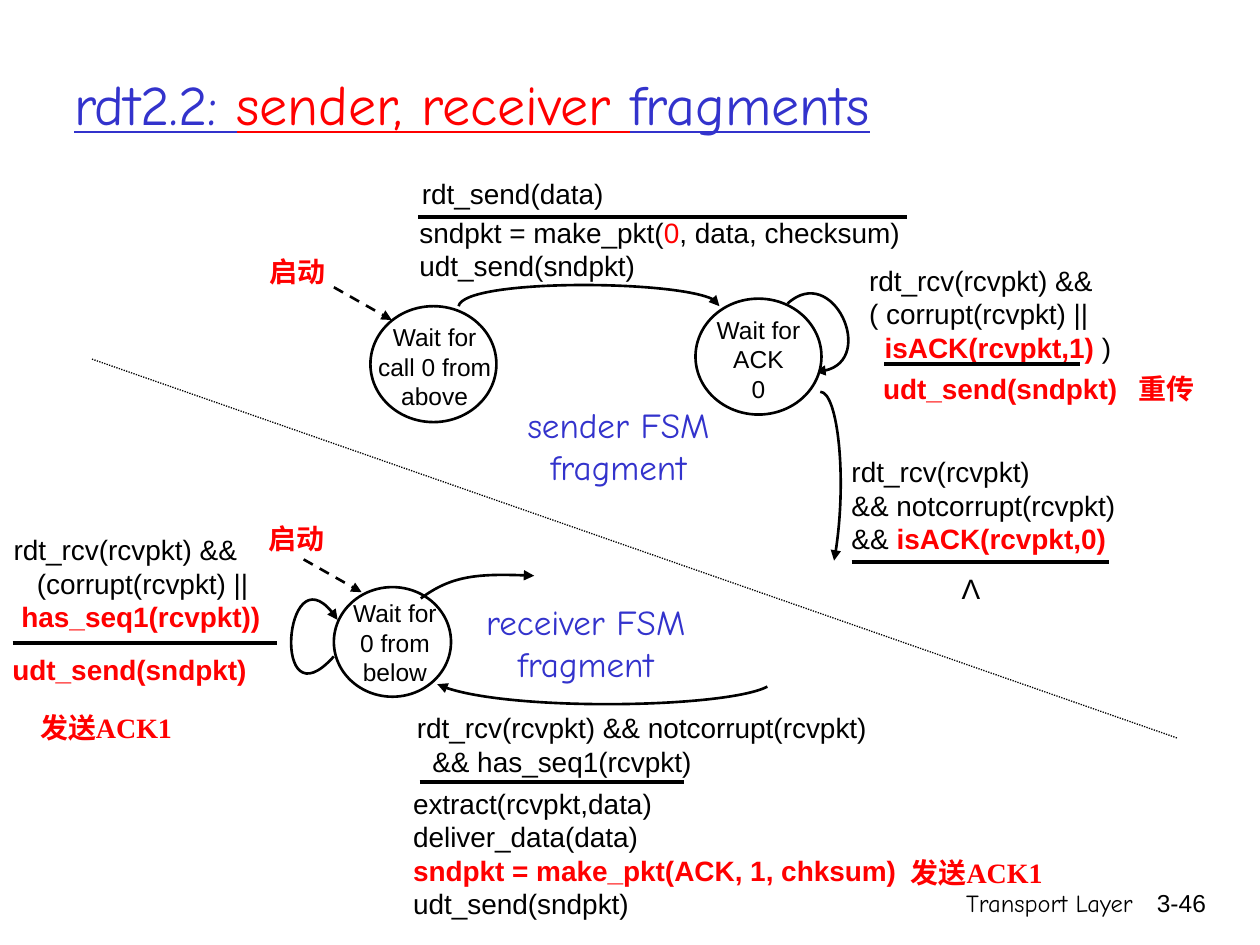
from lxml.etree import SubElement
from pptx import Presentation
from pptx.dml.color import RGBColor
from pptx.enum.dml import MSO_LINE
from pptx.enum.shapes import MSO_CONNECTOR, MSO_SHAPE
from pptx.enum.text import MSO_ANCHOR, PP_ALIGN
from pptx.oxml.ns import qn
from pptx.util import Inches, Pt

COLORS = {"ink": "000000", "red": "FF0000", "blue": "3333CC", "paper": "FFFFFF"}
CODE, HAND, NOTE = "Arial", "Comic Neue", "Times New Roman"


def rgb(name):
    return RGBColor.from_string(COLORS[name])


def write(frame, lines, size=16, font=CODE, color="ink", bold=False, align=PP_ALIGN.LEFT):
    """Each line is a string or a list of (text, color, bold) runs."""
    for index, line in enumerate(lines):
        paragraph = frame.paragraphs[0] if index == 0 else frame.add_paragraph()
        paragraph.alignment = align
        paragraph.font.size, paragraph.font.name = Pt(size), font
        if isinstance(line, str):
            paragraph.font.bold, paragraph.font.color.rgb = bold, rgb(color)
            paragraph.add_run().text = line
            continue
        for text, run_color, run_bold in line:
            run = paragraph.add_run()
            run.text = text
            run.font.bold, run.font.color.rgb = run_bold, rgb(run_color)


class Region:
    """Places parts relative to its own top left corner, in inches."""

    def __init__(self, slide, left, top):
        self.shapes, self.left, self.top = slide.shapes, left, top

    def at(self, x, y):
        return Inches(self.left + x), Inches(self.top + y)

    def text(self, x, y, width, height, lines, **style):
        frame = self.shapes.add_textbox(*self.at(x, y), Inches(width), Inches(height)).text_frame
        frame.word_wrap = True
        write(frame, lines, **style)

    def note(self, x, y, width, words):
        self.text(x, y, width, 0.44, [words], font=NOTE, color="red", bold=True)

    def fragment_label(self, x, y, role):
        self.text(x, y, 1.9, 0.77, [f"{role} FSM", "fragment"],
                  size=20, font=HAND, color="blue", align=PP_ALIGN.CENTER)

    def line(self, start, end, weight=2.25, dash=None, arrow=False):
        connector = self.shapes.add_connector(MSO_CONNECTOR.STRAIGHT, *self.at(*start), *self.at(*end))
        SubElement(connector._element.spPr, qn("a:effectLst"))
        connector.line.width, connector.line.color.rgb = Pt(weight), rgb("ink")
        if dash:
            connector.line.dash_style = dash
        if arrow:
            add_arrowhead(connector)

    def rule(self, x, y, width):
        self.line((x, y), (x + width, y))

    def start_arrow(self, x, y):
        self.line((x, y), (x + 0.46, y + 0.26), 1.5, MSO_LINE.DASH, arrow=True)

    def state(self, x, y, width, height, label_box, lines):
        circle = self.shapes.add_shape(MSO_SHAPE.OVAL, *self.at(x, y), Inches(width), Inches(height))
        circle.shadow.inherit = False
        circle.fill.solid()
        circle.fill.fore_color.rgb = rgb("paper")
        circle.line.width, circle.line.color.rgb = Pt(1.5), rgb("ink")
        self.text(*label_box, lines, size=14, align=PP_ALIGN.CENTER)

    def transition(self, start, *curve):
        """Bezier arrow: start, two control points, end."""
        builder = self.shapes.build_freeform(*self.at(*start))
        builder.add_line_segments([self.at(*point) for point in curve], close=False)
        arc = builder.convert_to_shape()
        segments = list(arc._element.iter(qn("a:lnTo")))
        outline = segments[0].getparent()
        bezier = SubElement(outline, qn("a:cubicBezTo"))
        for segment in segments:
            bezier.append(segment[0])
            outline.remove(segment)
        arc.shadow.inherit = False
        arc.fill.background()
        arc.line.width, arc.line.color.rgb = Pt(1.5), rgb("ink")
        add_arrowhead(arc)


def add_arrowhead(shape):
    SubElement(shape.line._get_or_add_ln(), qn("a:tailEnd"), type="triangle")


def add_title(slide):
    title = slide.shapes.title
    title.left, title.top, title.width, title.height = map(Inches, (0.49, 0.19, 8.5, 1.25))
    title.text_frame.vertical_anchor = MSO_ANCHOR.MIDDLE
    write(title.text_frame, [[("rdt2.2: ", "blue", False), ("sender, receiver ", "red", False),
                              ("fragments", "blue", False)]], size=32, font=HAND)
    title.text_frame.paragraphs[0].font.underline = True


def add_sender(slide, left, top):
    sender = Region(slide, left, top)
    # Call from above: send packet 0
    sender.state(0.94, 1.13, 1, 0.92, (0.87, 1.21, 1.16, 0.67), ["Wait for call 0 from above"])
    sender.text(1.23, 0.36, 4.07, 0.44, [
        [("sndpkt = make_pkt(", "ink", False), ("0", "red", False), (", data, checksum)", "ink", False)],
        "udt_send(sndpkt)"])
    sender.text(1.25, 0.05, 1.89, 0.31, ["rdt_send(data)"])
    sender.rule(1.32, 0.42, 3.88)
    sender.note(0.04, 0.67, 0.74, "启动")
    sender.start_arrow(0.65, 0.98)
    sender.transition((1.64, 1.13), (1.68, 0.91), (3.71, 0.92), (3.71, 1.13))
    # Corrupt packet or wrong ACK: send again
    sender.transition((4.25, 1.11), (4.61, 0.78), (5, 1.64), (4.47, 1.65))
    sender.text(4.8, 0.74, 2.97, 0.63, [
        "rdt_rcv(rcvpkt) &&", "( corrupt(rcvpkt) ||",
        [("  ", "ink", False), ("isACK(rcvpkt,1)", "red", True), (" )", "ink", False)]])
    sender.rule(5.02, 1.59, 1.55)
    sender.text(4.91, 1.6, 2.32, 0.44, ["udt_send(sndpkt)"], color="red", bold=True)
    sender.note(6.94, 1.6, 0.74, "重传")
    # Right ACK: move on
    sender.transition((4.51, 1.81), (4.65, 1.81), (4.73, 2.55), (4.62, 3.15))
    sender.text(4.66, 2.26, 2.64, 0.63, [
        "rdt_rcv(rcvpkt)", "&& notcorrupt(rcvpkt)",
        [("&& ", "ink", False), ("isACK(rcvpkt,0)", "red", True)]])
    sender.rule(4.76, 3.16, 2.04)
    sender.text(5.5, 3.19, 0.41, 0.37, ["Λ"], align=PP_ALIGN.CENTER)
    sender.state(3.52, 1.07, 1, 0.92, (3.44, 1.15, 1.16, 0.67), ["Wait for ACK", "0"])
    sender.fragment_label(1.96, 1.85, "sender")


def add_receiver(slide, left, top):
    receiver = Region(slide, left, top)
    receiver.state(2.65, 0.66, 0.93, 0.87, (2.7, 0.7, 0.87, 0.67), ["Wait for", "0 from below"])
    receiver.note(2.03, 0.09, 0.74, "启动")
    receiver.start_arrow(2.41, 0.44)
    receiver.transition((3.34, 0.75), (3.58, 0.57), (3.82, 0.55), (4.24, 0.57))
    receiver.fragment_label(3.7, 0.72, "receiver")
    # Corrupt or repeated packet: acknowledge 1 again
    receiver.transition((2.65, 1.21), (2.15, 1.77), (2.26, 0.28), (2.68, 0.92))
    receiver.text(0.01, 0.18, 2.58, 0.7, [
        "rdt_rcv(rcvpkt) &&", "   (corrupt(rcvpkt) ||",
        [(" ", "ink", False), ("has_seq1(rcvpkt))", "red", True)]])
    receiver.rule(0.1, 1.1, 2.1)
    receiver.text(0, 1.13, 2.23, 0.45, ["udt_send(sndpkt)"], color="red", bold=True)
    receiver.note(0.22, 1.59, 1.45, "发送ACK1")
    # Packet 1 arrives: deliver and acknowledge
    receiver.transition((6.09, 1.45), (5.76, 1.62), (3.93, 1.65), (3.47, 1.43))
    receiver.text(3.21, 1.59, 4.31, 0.63, [
        "rdt_rcv(rcvpkt) && notcorrupt(rcvpkt)", "  && has_seq1(rcvpkt)"])
    receiver.rule(3.33, 2.21, 2.1)
    receiver.text(3.18, 2.19, 4.57, 0.76, [
        "extract(rcvpkt,data)", "deliver_data(data)",
        [("sndpkt = make_pkt(ACK, 1, chksum)", "red", True)], "udt_send(sndpkt)"])
    receiver.note(7.13, 2.74, 1.45, "发送ACK1")


def add_footer(slide, left, top):
    footer = Region(slide, left, top)
    footer.text(0, 0, 3.17, 0.5, ["Transport Layer"], size=14, font=HAND, align=PP_ALIGN.RIGHT)
    footer.text(3.01, 0, 0.74, 0.5, ["3-46"], size=14, align=PP_ALIGN.RIGHT)


def main():
    deck = Presentation()
    deck.slide_width, deck.slide_height = Inches(10), Inches(7.5)
    slide = deck.slides.add_slide(deck.slide_layouts[5])
    add_title(slide)
    add_sender(slide, 2, 1.3)
    add_receiver(slide, 0, 4)
    # Divider between the two machines
    Region(slide, 0.73, 2.85).line((0, 0), (8.62, 3.01), 0.75, MSO_LINE.ROUND_DOT)
    add_footer(slide, 5.92, 7)
    deck.save("out.pptx")


if __name__ == "__main__":
    main()
